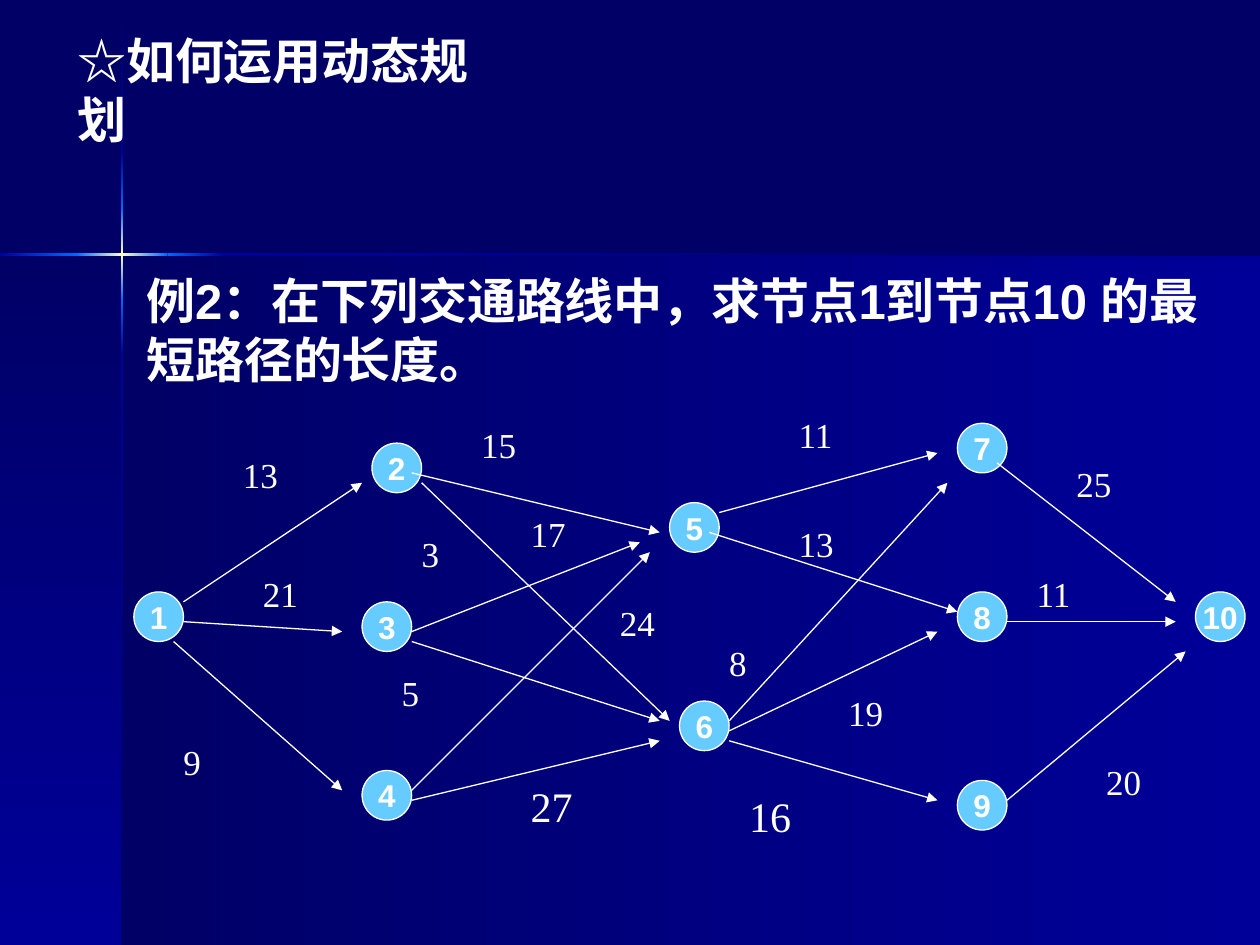
from copy import deepcopy

from lxml.etree import SubElement
from pptx import Presentation
from pptx.dml.color import RGBColor
from pptx.enum.shapes import MSO_CONNECTOR as Connector, MSO_SHAPE as Shape
from pptx.enum.text import MSO_ANCHOR as Anchor, MSO_AUTO_SIZE as AutoSize, PP_ALIGN as Align
from pptx.oxml.ns import qn
from pptx.util import Pt

COLORS = {
    "navy": "000066",
    "blue": "000099",
    "bright": "0066FF",
    "glow": "FFFFCC",
    "node": "66CCFF",
    "white": "FFFFFF",
}
ACROSS, DOWN = 180, 270
GRID_COLUMNS = 112
NODE_CELLS = 5
LABEL_CELLS = 8

NODES = {
    "1": (0, 18), "2": (24, 3), "3": (23, 19), "4": (23, 36), "5": (54, 9),
    "6": (55, 29), "7": (83, 1), "8": (83, 18), "9": (83, 37), "10": (107, 18),
}
ROUTES = [
    ((5, 19), (23, 7)), ((5, 21), (21, 22)), ((4, 23), (21, 38)),
    ((28, 6), (53, 12)), ((29, 7), (54, 31)), ((28, 22), (51, 13)),
    ((28, 23), (53, 31)), ((28, 38), (52, 14)), ((28, 39), (53, 33)),
    ((59, 10), (81, 4)), ((58, 12), (83, 20)), ((60, 31), (82, 7)),
    ((60, 32), (81, 22)), ((60, 33), (81, 39)), ((87, 5), (105, 19)),
    ((88, 21), (105, 21)), ((88, 39), (106, 24)),
]
DISTANCES = [
    ("13", 11, 4, 20), ("21", 13, 16, 20), ("9", 5, 33, 20), ("15", 35, 1, 20),
    ("17", 40, 10, 20), ("3", 29, 12, 20), ("24", 49, 19, 20), ("5", 27, 26, 20),
    ("27", 40, 37, 24), ("11", 67, 0, 20), ("13", 67, 11, 20), ("8", 60, 23, 20),
    ("19", 72, 28, 20), ("16", 62, 38, 24), ("25", 95, 5, 20), ("11", 91, 16, 20),
    ("20", 98, 35, 20),
]


def color(name):
    """Return the named palette colour."""
    return RGBColor.from_string(COLORS[name])


def add_text(frame, text, size, font="Arial", bold=True):
    """Add one white run to the first paragraph and return the paragraph."""
    paragraph = frame.paragraphs[0]
    run = paragraph.add_run()
    run.text = text
    run.font.size = Pt(size)
    run.font.name = font
    run.font.bold = bold
    run.font.color.rgb = color("white")
    return paragraph


def add_gradient(slide, box, angle, names):
    """Draw a borderless rectangle with evenly spaced gradient stops."""
    shape = slide.shapes.add_shape(Shape.RECTANGLE, *map(Pt, box))
    shape.shadow.inherit = False
    shape.line.fill.background()
    shape.fill.gradient()
    shape.fill.gradient_angle = angle
    stop_list = shape._element.spPr.find(qn("a:gradFill")).find(qn("a:gsLst"))
    for _ in names[2:]:
        stop_list.append(deepcopy(stop_list[0]))
    for index, (stop, name) in enumerate(zip(shape.fill.gradient_stops, names)):
        stop.position = index / (len(names) - 1)
        stop.color.rgb = color(name)


def add_backdrop(slide, box):
    """Fill the box with two panels and the glowing cross between them."""
    left, top, width, height = box
    cross_x, cross_y, thickness = left + 69.8, top + 145.4, 1.4
    right, bottom = left + width, top + height
    add_gradient(slide, (cross_x, cross_y, right - cross_x, bottom - cross_y), ACROSS, ("blue", "navy"))
    add_gradient(slide, (left, cross_y, cross_x - left, bottom - cross_y), DOWN, ("navy", "blue"))
    glow = ("bright", "glow", "bright")
    vertical = [
        (0.7, 87.1, ("navy", "blue")), (87.1, 118.8, ("blue", "bright")), (118.8, 171.4, glow),
        (171.4, 203, ("bright", "blue")), (203, height, ("blue", "navy")),
    ]
    for start, end, names in vertical:
        add_gradient(slide, (cross_x - 0.7, top + start, thickness, end - start), DOWN, names)
    horizontal = [
        (0, 43.5, ("bright", "blue")), (43.5, 95.8, glow),
        (95.8, 127.4, ("blue", "bright")), (127.4, width, ("navy", "blue")),
    ]
    for start, end, names in horizontal:
        add_gradient(slide, (left + start, cross_y - 0.7, end - start, thickness), ACROSS, names)


def add_route(slide, start, end):
    """Draw a thin white arrow between two points."""
    connector = slide.shapes.add_connector(Connector.STRAIGHT, *map(Pt, start + end))
    connector.line.color.rgb = color("white")
    connector.line.width = Pt(0.75)
    SubElement(connector.line._get_or_add_ln(), qn("a:tailEnd"), type="triangle")
    SubElement(connector._element.spPr, qn("a:effectLst"))


def add_node(slide, name, left, top, size):
    """Draw a numbered circle."""
    shape = slide.shapes.add_shape(Shape.OVAL, Pt(left), Pt(top), Pt(size), Pt(size))
    shape.shadow.inherit = False
    shape.fill.solid()
    shape.fill.fore_color.rgb = color("node")
    shape.line.color.rgb = color("white")
    shape.line.width = Pt(0.75)
    shape.text_frame.word_wrap = False
    shape.text_frame.vertical_anchor = Anchor.MIDDLE
    add_text(shape.text_frame, name, 18).alignment = Align.CENTER


def add_distance(slide, text, box, size):
    """Write the length of a route."""
    frame = slide.shapes.add_textbox(*map(Pt, box)).text_frame
    frame.word_wrap = True
    frame.margin_left = frame.margin_top = frame.margin_right = frame.margin_bottom = 0
    add_text(frame, text, size, "Times New Roman", False)


def add_network(slide, box):
    """Lay out the road network on a square grid as wide as the box."""
    left, top, width, _ = box
    cell = width / GRID_COLUMNS

    def place(column, row):
        """Return the point of a grid position."""
        return left + column * cell, top + row * cell

    for name, position in NODES.items():
        add_node(slide, name, *place(*position), NODE_CELLS * cell)
    for start, end in ROUTES:
        add_route(slide, place(*start), place(*end))
    for text, column, row, size in DISTANCES:
        label_box = (*place(column, row), LABEL_CELLS * cell, NODE_CELLS * cell)
        add_distance(slide, text, label_box, size)


def add_question(slide, box):
    """Write the example question at the bottom of the box."""
    frame = slide.shapes.add_textbox(*map(Pt, box)).text_frame
    frame.word_wrap = True
    frame.vertical_anchor = Anchor.BOTTOM
    add_text(frame, "例2：在下列交通路线中，求节点1到节点10 的最短路径的长度。", 28)


def add_title(slide, box):
    """Place and format the title in front of the backdrop."""
    title = slide.shapes.title
    title.left, title.top, title.width, title.height = map(Pt, box)
    frame = title.text_frame
    frame.word_wrap = False
    frame.auto_size = AutoSize.SHAPE_TO_FIT_TEXT
    frame.vertical_anchor = Anchor.TOP
    add_text(frame, "☆如何运用动态规划", 28).alignment = Align.LEFT
    slide.shapes._spTree.append(title._element)


def main():
    """Build and save the slide."""
    presentation = Presentation()
    presentation.slide_width, presentation.slide_height = Pt(720), Pt(540)
    slide = presentation.slides.add_slide(presentation.slide_layouts[5])
    slide.background.fill.solid()
    slide.background.fill.fore_color.rgb = color("navy")
    add_backdrop(slide, (0, 0, 720, 540))
    add_network(slide, (76.5, 236.2, 635, 244))
    add_question(slide, (76.5, 150.5, 635, 75))
    add_title(slide, (36.9, 13.7, 265.7, 41))
    presentation.save("out.pptx")


if __name__ == "__main__":
    main()
